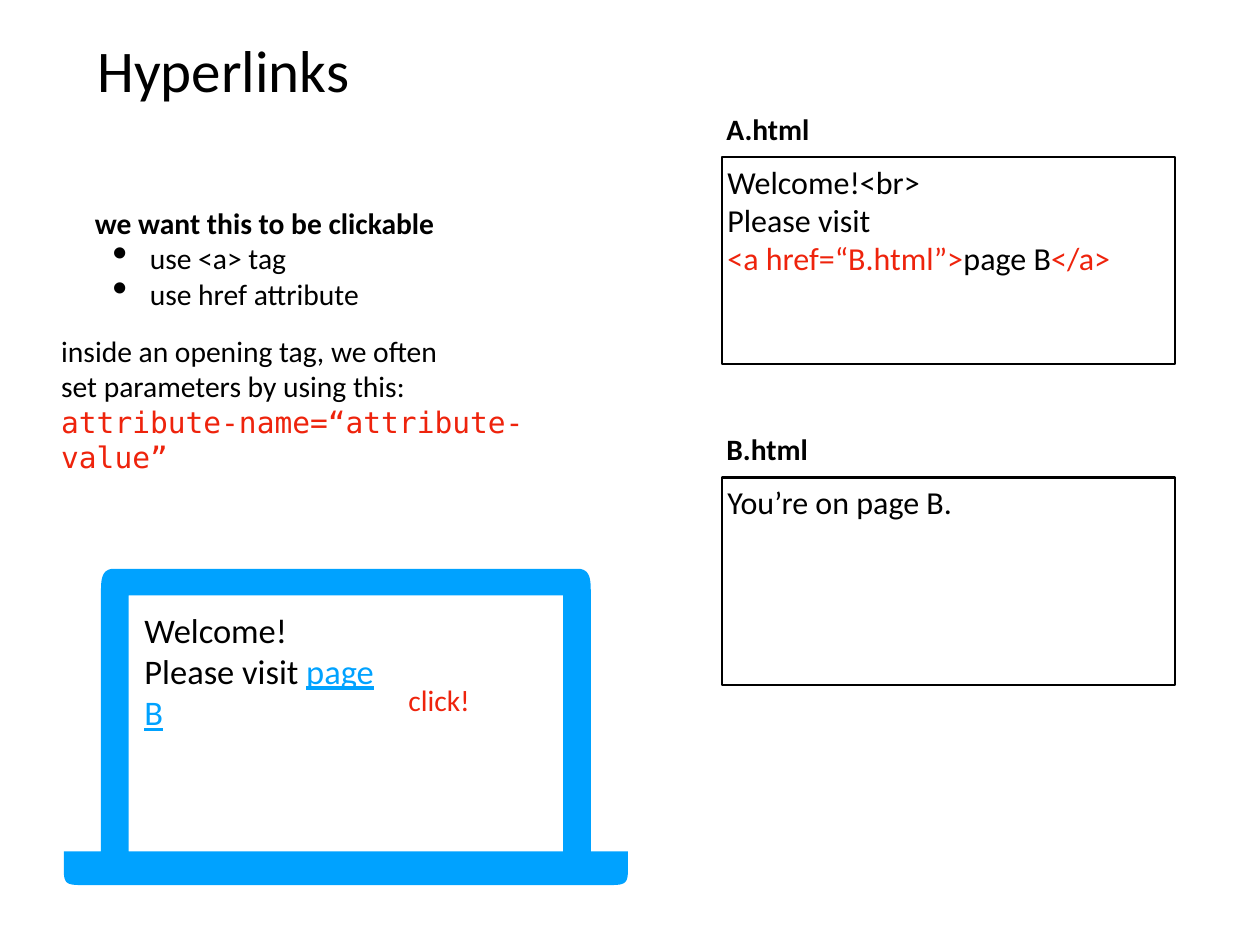
"""Build the Hyperlinks slide on a grid of 64 columns by 48 rows."""
import pptx
import pptx.util
import pptx.dml.color
import pptx.enum.shapes
import pptx.enum.text
from dataclasses import dataclass
from lxml import etree


@dataclass(frozen=True)
class Theme:
    sans: str = "Calibri"
    mono: str = "DejaVu Sans Mono"
    black: str = "000000"
    white: str = "FFFFFF"
    blue: str = "00A2FF"
    red: str = "EE230C"
    title: int = 48
    screen: int = 28
    page: int = 26
    note: int = 24


theme = Theme()
WIDE, HIGH = 14.22, 10.67
COLS, ROWS = 64, 48

TITLE = ("Hyperlinks", (4.68, 1.26, 54.63, 4.46))
PAGES = [
    ("A.html", [
        ["Welcome!<br>"],
        ["Please visit", "\n", ("<a href=“B.html”>", theme.red), "page B", ("</a>", theme.red)],
    ]),
    ("B.html", [["You’re on page B."]]),
]
SCREEN = [["Welcome!"], ["Please visit ", ("page B", theme.blue)]]
HINT = "we want this to be clickable"
STEPS = ["use <a> tag", "use href attribute"]
RULE = ["inside an opening tag, we often", "set parameters by using this:"]
FORM = "attribute-name=“attribute-value”"

LABEL = (36.63, 5.4, 5.85, 2.25)
PAGE = (36.68, 7.97, 23, 10.53)
PITCH = 16.29

MID = 17.57
FOOT = [(4.41, 44.96), (3.4, 44.96), (3.24, 44.96), (3.24, 44.15)]
HINGE = [(3.24, 43.25), (5.13, 43.25)]
LID = [(5.13, 30.15), (5.13, 29.48), (5.13, 28.89), (5.8, 28.89)]
GLASS = [(6.53, 30.24), (6.53, 43.25)]

deck = pptx.Presentation()
deck.slide_width = pptx.util.Inches(WIDE)
deck.slide_height = pptx.util.Inches(HIGH)
slide = deck.slides.add_slide(deck.slide_layouts[5])
shapes = slide.shapes


def spot(x, y):
    return round(x * deck.slide_width / COLS), round(y * deck.slide_height / ROWS)


def place(box):
    return spot(*box[:2]) + spot(*box[2:])


def color(code):
    return pptx.dml.color.RGBColor.from_string(code)


def style(para, size, tint=theme.black, face=theme.sans, bold=False):
    font = para.font
    font.size, font.name, font.bold = pptx.util.Pt(size), face, bold
    font.color.rgb = color(tint)


def setup(shape, anchor):
    frame = shape.text_frame
    frame.word_wrap = True
    frame.vertical_anchor = anchor
    frame.margin_left = frame.margin_right = pptx.util.Inches(0.06)
    frame.margin_top = frame.margin_bottom = pptx.util.Inches(0.06)
    return frame


def write(shape, lines, size, anchor=pptx.enum.text.MSO_ANCHOR.TOP, **look):
    frame = setup(shape, anchor)
    for i, line in enumerate(lines):
        para = frame.add_paragraph() if i else frame.paragraphs[0]
        para.alignment = pptx.enum.text.PP_ALIGN.LEFT
        style(para, size, **look)
        for part in line:
            if part == "\n":
                para.add_line_break()
                continue
            text, tint = (part, None) if isinstance(part, str) else part
            run = para.add_run()
            run.text = text
            if tint:
                run.font.color.rgb = color(tint)
                if tint == theme.blue:
                    run.font.underline = True
    return frame


def bullet(para):
    props = para._p.get_or_add_pPr()
    props.set("marL", str(pptx.util.Inches(0.62)))
    props.set("indent", str(pptx.util.Inches(-0.42)))
    space = "{http://schemas.openxmlformats.org/drawingml/2006/main}"
    etree.SubElement(props, space + "buSzPct", val="145000")
    etree.SubElement(props, space + "buChar", char="•")


def curve(a, b, c, d, steps=12):
    for i in range(steps + 1):
        t = i / steps
        u = 1 - t
        yield tuple(u**3 * p + 3 * u * u * t * q + 3 * u * t * t * r + t**3 * s
                    for p, q, r, s in zip(a, b, c, d))


def mirror(half):
    return half + [(2 * MID - x, y) for x, y in reversed(half)]


def laptop():
    rim = mirror([*curve(*FOOT), *HINGE, *curve(*LID)])
    hole = mirror(GLASS)
    build = shapes.build_freeform(*spot(*rim[0]))
    build.add_line_segments([spot(*dot) for dot in rim[1:]])
    build.move_to(*spot(*hole[0]))
    build.add_line_segments([spot(*dot) for dot in hole[1:]])
    body = build.convert_to_shape()
    body.shadow.inherit = False
    body.fill.solid()
    body.fill.fore_color.rgb = color(theme.blue)
    body.line.fill.background()


def page(box):
    rect = shapes.add_shape(pptx.enum.shapes.MSO_SHAPE.RECTANGLE, *place(box))
    rect.shadow.inherit = False
    rect.fill.solid()
    rect.fill.fore_color.rgb = color(theme.white)
    rect.line.color.rgb = color(theme.black)
    rect.line.width = pptx.util.Pt(2)
    return rect


def note(box):
    return shapes.add_textbox(*place(box))


def main():
    mid = pptx.enum.text.MSO_ANCHOR.MIDDLE
    text, box = TITLE
    head = shapes.title
    head.left, head.top, head.width, head.height = place(box)
    write(head, [[text]], theme.title, mid)

    laptop()
    write(note((7.07, 30.65, 13.37, 4.5)), SCREEN, theme.screen)

    for i, (name, lines) in enumerate(PAGES):
        drop = i * PITCH
        x, y, w, h = PAGE
        write(page((x, y + drop, w, h)), lines, theme.page)
        x, y, w, h = LABEL
        write(note((x, y + drop, w, h)), [[name]], theme.note, mid, bold=True)

    frame = write(note((4.55, 10.13, 22.14, 5.76)), [[HINT]], theme.note, bold=True)
    for step in STEPS:
        para = frame.add_paragraph()
        para.text = step
        bullet(para)
        style(para, theme.note)

    lines = [[line] for line in RULE]
    frame = write(note((2.84, 17.6, 29.39, 5.8)), lines, theme.note, mid)
    para = frame.add_paragraph()
    para.text = FORM
    style(para, theme.note, theme.red, theme.mono)

    frame = write(note((20.28, 34.43, 4.05, 2.25)), [["click!"]], theme.note, mid, tint=theme.red)
    frame.paragraphs[0].alignment = pptx.enum.text.PP_ALIGN.CENTER
    deck.save("out.pptx")


if __name__ == "__main__":
    main()
